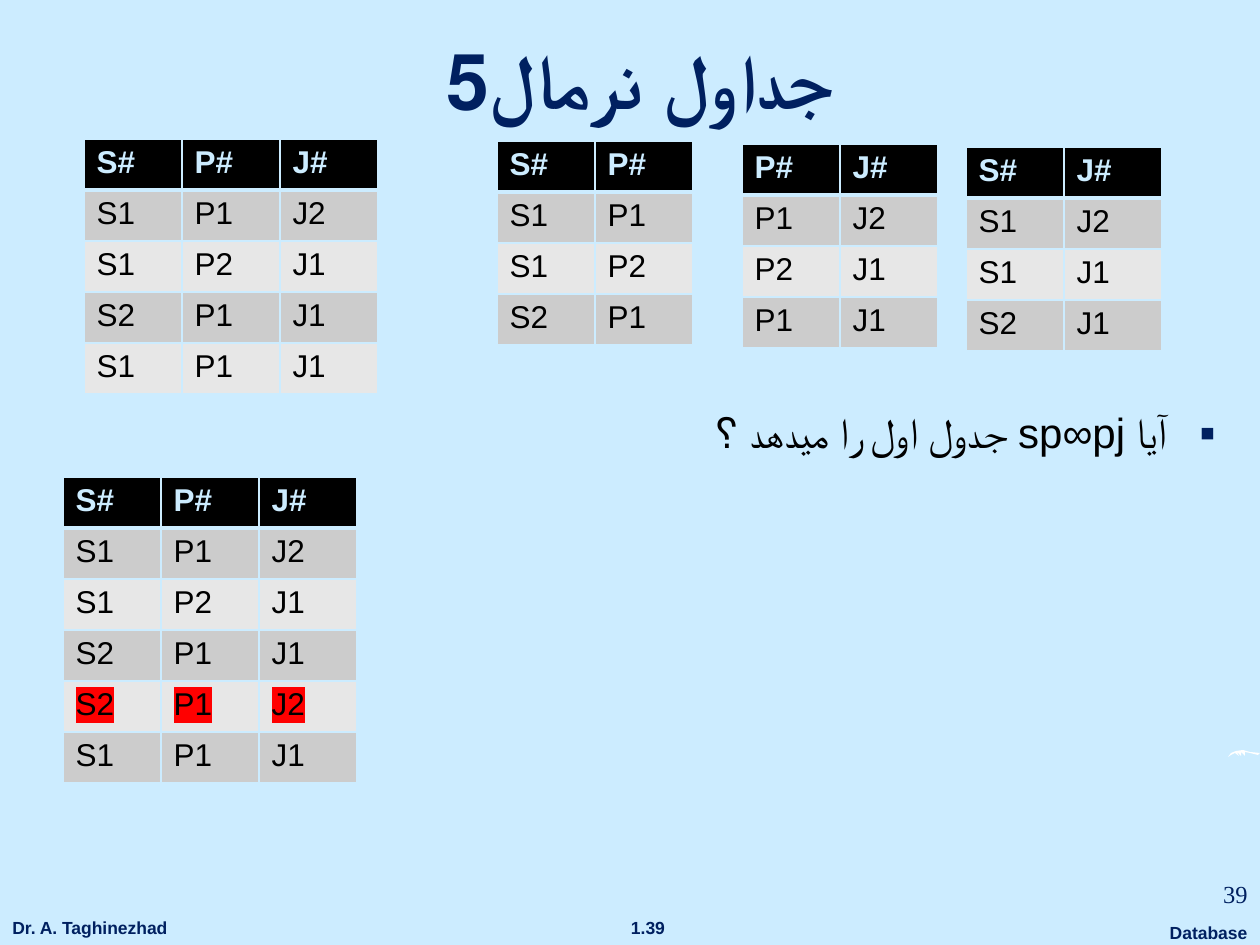
import pptx
import pptx.dml.color
import pptx.enum.text
import pptx.oxml
import pptx.oxml.ns
import pptx.util

SCALE = 914400 / 126
THEME = {
    "background": "CCECFF", "navy": "002060", "black": "000000", "white": "FFFFFF",
    "bands": ["CCCCCC", "E7E7E7"], "highlight": "FF0000",
    "title": 44, "body": 24, "cell": 18, "number": 14, "footer": 10,
    "sans": "Arial", "heading": "Roboto", "serif": "Times New Roman",
}
ALIGN = pptx.enum.text.PP_ALIGN
NAMESPACE = pptx.oxml.ns.nsdecls("a")


def emu(px):
    return round(px * SCALE)


def style(para, size, color, name, bold=False):
    para.font.size = pptx.util.Pt(size)
    para.font.color.rgb = pptx.dml.color.RGBColor.from_string(color)
    para.font.name = name
    para.font.bold = bold


deck = pptx.Presentation()
deck.slide_width, deck.slide_height = emu(1260), emu(945)
page = deck.slides.add_slide(deck.slide_layouts[6])
page.background.fill.solid()
page.background.fill.fore_color.rgb = pptx.dml.color.RGBColor.from_string(THEME["background"])

swoosh_points = [
    (1228, 757), (1231, 753), (1236, 751), (1243, 750), (1250, 752), (1260, 753),
    (1258, 755), (1250, 753), (1245, 752), (1245, 756), (1241, 752), (1241, 756),
    (1237, 752), (1239, 756), (1235, 753), (1231, 755),
]
builder = page.shapes.build_freeform(*swoosh_points[0], scale=SCALE)
builder.add_line_segments(swoosh_points[1:], close=True)
swoosh = builder.convert_to_shape()
swoosh.shadow.inherit = False
swoosh.fill.solid()
swoosh.fill.fore_color.rgb = pptx.dml.color.RGBColor.from_string(THEME["white"])
swoosh.line.fill.background()

footer = (THEME["footer"], THEME["navy"], THEME["sans"], True)
texts = [
    ("Database", (1157, 916, 103, 34), ALIGN.CENTER, False, footer),
    ("1.39", (617, 911, 62, 34), ALIGN.CENTER, False, footer),
    ("Dr. A. Taghinezhad", (0, 911, 185, 34), ALIGN.LEFT, False, footer),
    ("جداول نرمال5 ", (63, 0, 1134, 158), ALIGN.CENTER, True,
     (THEME["title"], THEME["navy"], THEME["heading"], True)),
    ("آیا sp∞pj جدول اول را میدهد ؟", (32, 267, 1196, 646), ALIGN.JUSTIFY, True,
     (THEME["body"], THEME["black"], THEME["sans"])),
    ("39", (1101, 873, 159, 50), ALIGN.RIGHT, False,
     (THEME["number"], THEME["navy"], THEME["serif"])),
]
for text, place, align, right_to_left, look in texts:
    box = page.shapes.add_textbox(*map(emu, place))
    frame = box.text_frame
    frame.word_wrap = look != footer
    para = frame.paragraphs[0]
    para.text = text
    para.alignment = align
    style(para, *look)
    properties = para._p.get_or_add_pPr()
    if right_to_left:
        properties.set("rtl", "1")
    if align == ALIGN.CENTER and right_to_left:
        frame.vertical_anchor = pptx.enum.text.MSO_ANCHOR.MIDDLE
    if align == ALIGN.JUSTIFY:
        frame.margin_top = emu(140)
        properties.set("marL", str(emu(48)))
        properties.set("indent", str(-emu(48)))
        bullet = [
            f'<a:buClr {NAMESPACE}><a:srgbClr val="{THEME["navy"]}"/></a:buClr>',
            f'<a:buSzPct {NAMESPACE} val="110000"/>',
            f'<a:buFont {NAMESPACE} typeface="{THEME["sans"]}"/>',
            f'<a:buChar {NAMESPACE} char="▪"/>',
        ]
        for position, part in enumerate(bullet):
            properties.insert(position, pptx.oxml.parse_xml(part))

COLUMN, ROW = 98, 51
tables = [
    (84, 139, ["S# P# J#", "S1 P1 J2", "S1 P2 J1", "S2 P1 J1", "S1 P1 J1"], None),
    (497, 141, ["S# P#", "S1 P1", "S1 P2", "S2 P1"], None),
    (742, 144, ["P# J#", "P1 J2", "P2 J1", "P1 J1"], None),
    (966, 147, ["S# J#", "S1 J2", "S1 J1", "S2 J1"], None),
    (63, 477, ["S# P# J#", "S1 P1 J2", "S1 P2 J1", "S2 P1 J1", "S2 P1 J2", "S1 P1 J1"], 4),
]
for left, top, lines, marked_row in tables:
    rows = [line.split() for line in lines]
    size = (COLUMN * len(rows[0]), ROW * len(rows))
    table = page.shapes.add_table(
        len(rows), len(rows[0]), *map(emu, (left, top, *size))).table
    table.first_row = table.horz_banding = False
    for column in table.columns:
        column.width = emu(COLUMN)
    for row_index, values in enumerate(rows):
        table.rows[row_index].height = emu(ROW)
        header = row_index == 0
        for column_index, value in enumerate(values):
            cell = table.cell(row_index, column_index)
            fill = THEME["black"] if header else THEME["bands"][(row_index - 1) % 2]
            cell.fill.solid()
            cell.fill.fore_color.rgb = pptx.dml.color.RGBColor.from_string(fill)
            para = cell.text_frame.paragraphs[0]
            span = para.add_run()
            span.text = value
            style(para, THEME["cell"], THEME["background"] if header else THEME["black"],
                  THEME["sans"], header)
            if row_index == marked_row:
                span._r.get_or_add_rPr().append(pptx.oxml.parse_xml(
                    f'<a:highlight {NAMESPACE}><a:srgbClr val="{THEME["highlight"]}"/>'
                    '</a:highlight>'))
            widths = {"lnL": 1, "lnR": 1, "lnT": 3 if row_index == 1 else 1,
                      "lnB": 3 if header else 1}
            for position, (edge, width) in enumerate(widths.items()):
                cell._tc.get_or_add_tcPr().insert(position, pptx.oxml.parse_xml(
                    f'<a:{edge} {NAMESPACE} w="{pptx.util.Pt(width)}"><a:solidFill>'
                    f'<a:srgbClr val="{THEME["background"]}"/></a:solidFill></a:{edge}>'))

deck.save("out.pptx")
